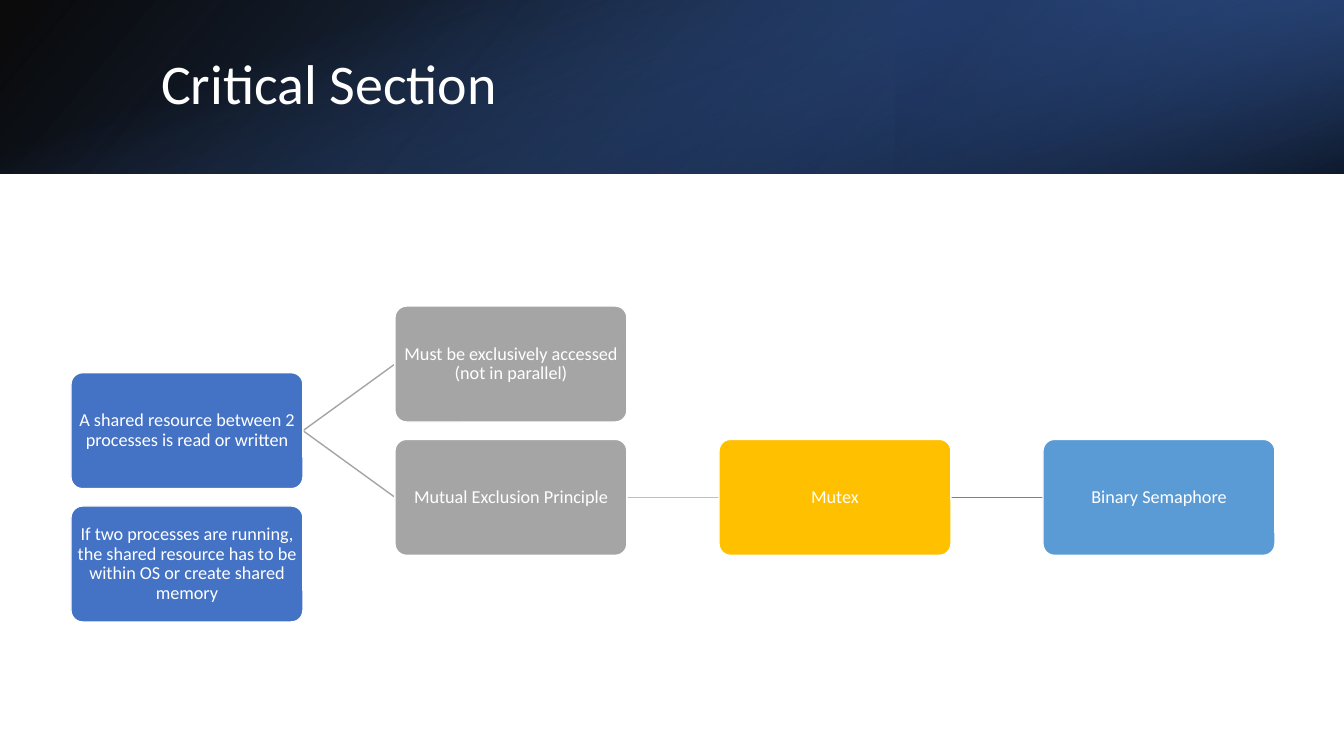
from dataclasses import dataclass

from lxml.etree import SubElement as Sub
from pptx import Presentation
from pptx.dml.color import RGBColor as Rgb
from pptx.enum.shapes import MSO_CONNECTOR as Link, MSO_SHAPE as Kind
from pptx.enum.text import MSO_ANCHOR as Anchor, PP_ALIGN as Align
from pptx.oxml import parse_xml
from pptx.oxml.ns import nsdecls, qn
from pptx.util import Pt

PX = 914400 / 100.8


@dataclass(frozen=True)
class Theme:
    """Colours and type sizes."""
    font: str = "Calibri"
    head: int = 40
    body: int = 13
    white: str = "FFFFFF"
    black: str = "000000"
    blue: str = "4472C4"
    deep: str = "2F5597"
    navy: str = "203864"
    gray: str = "A5A5A5"
    pale: str = "BFBFBF"
    dark: str = "7F7F7F"
    gold: str = "FFC000"
    sky: str = "5B9BD5"


T = Theme()


def emu(*nums):
    """Turn pixels into EMU."""
    return [round(n * PX) for n in nums]


def write(frame, text, size, align, pad):
    """Add one run of white text, centred in height."""
    frame.word_wrap = True
    frame.vertical_anchor = Anchor.MIDDLE
    frame.margin_left = frame.margin_right = emu(pad)[0]
    frame.margin_top = frame.margin_bottom = emu(min(pad, 5))[0]
    para = frame.paragraphs[0]
    para.alignment = align
    para.line_spacing = 0.9
    run = para.add_run()
    run.text = text
    run.font.size = Pt(size)
    run.font.name = T.font
    run.font.color.rgb = Rgb.from_string(T.white)


def shade(slide, box, stops, ang, rot=0, flip=False):
    """Draw a rectangle whose gradient stops are (place, colour, opacity)."""
    rect = slide.shapes.add_shape(Kind.RECTANGLE, *emu(*box))
    rect.shadow.inherit = False
    rect.rotation = rot
    props = rect._element.spPr
    if flip:
        props.find(qn("a:xfrm")).set("flipH", "1")
    marks = "".join(
        f'<a:gs pos="{pos * 1000}"><a:srgbClr val="{tone}">'
        f'<a:alpha val="{alpha * 1000}"/></a:srgbClr></a:gs>'
        for pos, tone, alpha in stops)
    fill = parse_xml(
        f'<a:gradFill {nsdecls("a")} rotWithShape="1"><a:gsLst>{marks}</a:gsLst>'
        f'<a:lin ang="{ang * 60000}" scaled="0"/></a:gradFill>')
    props.find(qn("a:prstGeom")).addnext(fill)
    rect.line.fill.background()


def banner(slide, box, title):
    """Layer three gradients in the box and set the title on them."""
    x, y, w, h = box
    third = w // 3
    shade(slide, box, [(0, T.black, 96), (100, T.deep, 100)], 140, flip=True)
    shade(slide, (x + w - third, y, third, h),
          [(19, T.navy, 68), (100, T.blue, 79)], 320, 180, True)
    turned = (x + (w - h) / 2, y + (h - w) / 2, h, w)
    shade(slide, turned, [(23, T.blue, 0), (99, T.black, 74)], 340, 90)
    text = slide.shapes.add_textbox(*emu(x + 151, y + 38, 1107, 97))
    write(text.text_frame, title, T.head, Align.LEFT, 10)


def node(slide, box, text, tone):
    """Draw one rounded box with its text."""
    card = slide.shapes.add_shape(Kind.ROUNDED_RECTANGLE, *emu(*box))
    card.shadow.inherit = False
    card.adjustments[0] = 0.1
    card.fill.solid()
    card.fill.fore_color.rgb = Rgb.from_string(tone)
    card.line.color.rgb = Rgb.from_string(T.white)
    card.line.width = Pt(1)
    write(card.text_frame, text, T.body, Align.CENTER, 1)


def join(slide, start, end, tone, width):
    """Draw a straight line between two points."""
    line = slide.shapes.add_connector(Link.STRAIGHT, *emu(*start, *end))
    line.line.color.rgb = Rgb.from_string(tone)
    line.line.width = Pt(width)
    Sub(line._element.spPr, qn("a:effectLst"))


def tree(slide, box, nodes, links):
    """Place nodes by column and half row, then join them."""
    x, y, w, h = box
    wide, high = 232, 116
    col, row = (w - wide) / 3, (h - high) / 3

    def spot(name):
        c, r = nodes[name][:2]
        return x + c * col, y + r * row

    for a, b, tone, width in links:
        (ax, ay), (bx, by) = spot(a), spot(b)
        join(slide, (ax + wide, ay + high / 2), (bx, by + high / 2), tone, width)
    for name, (_, _, text, tone) in nodes.items():
        node(slide, (*spot(name), wide, high), text, tone)


def main():
    """Build the slide and save it."""
    deck = Presentation()
    deck.slide_width, deck.slide_height = emu(1344, 756)
    slide = deck.slides.add_slide(deck.slide_layouts[6])
    banner(slide, (0, 0, 1344, 174), "Critical Section")
    nodes = {
        "shared": (0, 1, "A shared resource between 2 processes is read or written",
                   T.blue),
        "access": (1, 0, "Must be exclusively accessed (not in parallel)", T.gray),
        "mutual": (1, 2, "Mutual Exclusion Principle", T.gray),
        "mutex": (2, 2, "Mutex", T.gold),
        "binary": (3, 2, "Binary Semaphore", T.sky),
        "memory": (0, 3, "If two processes are running, the shared resource has "
                   "to be within OS or create shared memory", T.blue),
    }
    links = [
        ("shared", "access", T.gray, 1),
        ("shared", "mutual", T.gray, 1),
        ("mutual", "mutex", T.pale, 0.75),
        ("mutex", "binary", T.dark, 0.75),
    ]
    tree(slide, (71, 306, 1204, 316), nodes, links)
    deck.save("out.pptx")


main()
